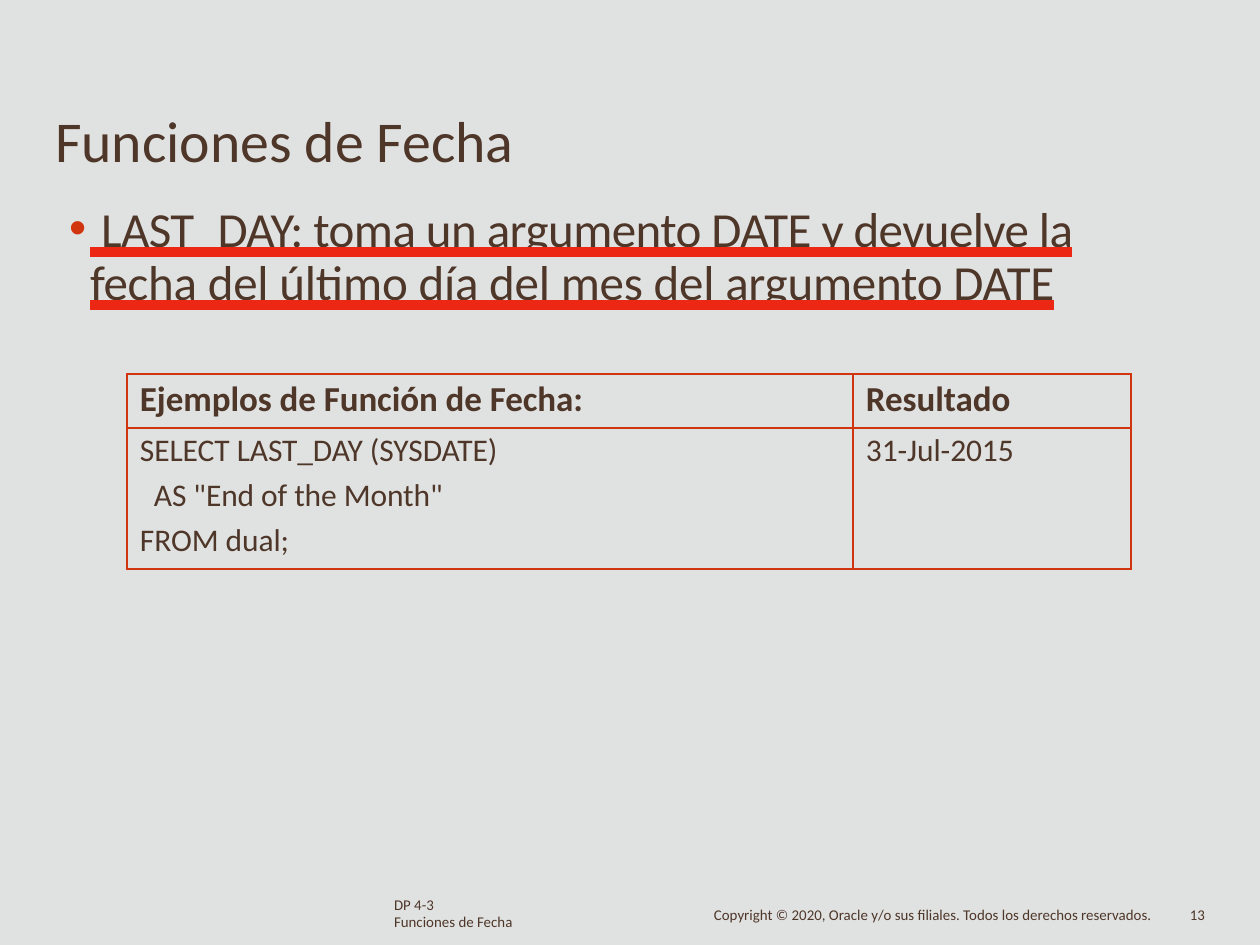
from lxml.etree import SubElement
from pptx import Presentation
from pptx.dml.color import RGBColor
from pptx.enum.text import MSO_ANCHOR, MSO_AUTO_SIZE, MSO_UNDERLINE, PP_ALIGN
from pptx.oxml.ns import qn
from pptx.util import Emu, Pt

BROWN = "4E3629"
RED = "D1350F"
UNDERLINE_RED = "EC2814"
BACKGROUND = "E0E2E1"
FONT = "Calibri"


def px(value):
    """Convert whole pixels to EMU at 126 pixels to the inch."""
    return Emu(round(value * 914400 / 126))


def color(value):
    """Return a colour from a hex string."""
    return RGBColor.from_string(value)


def add_solid_fill(parent, value):
    """Append a solid fill to an XML element."""
    fill = SubElement(parent, qn("a:solidFill"))
    SubElement(fill, qn("a:srgbClr"), val=value)


def format_run(run, size, bold=False, spacing=0):
    """Set font, colour and letter spacing in points of a run."""
    font = run.font
    font.name = FONT
    font.size = Pt(size)
    font.bold = bold
    font.color.rgb = color(BROWN)
    if spacing:
        run._r.get_or_add_rPr().set("spc", str(round(spacing * 100)))


def underline_run(run, value):
    """Give a run a heavy underline in its own colour."""
    run.font.underline = MSO_UNDERLINE.HEAVY_LINE
    properties = run._r.get_or_add_rPr()
    underline = SubElement(properties, qn("a:uFill"))
    add_solid_fill(underline, value)
    properties.find(qn("a:latin")).addprevious(underline)


def place(shape, left, top, width, height, inset=0):
    """Position a text shape and strip its default insets."""
    shape.left, shape.top = px(left), px(top)
    shape.width, shape.height = px(width), px(height)
    text_frame = shape.text_frame
    text_frame.word_wrap = True
    text_frame.auto_size = MSO_AUTO_SIZE.NONE
    text_frame.vertical_anchor = MSO_ANCHOR.TOP
    text_frame.margin_left = text_frame.margin_right = text_frame.margin_bottom = 0
    text_frame.margin_top = px(inset)
    return text_frame


def fill_title(shape, text):
    """Fill the title placeholder."""
    text_frame = place(shape, 55, 103, 549, 73, 2)
    text_frame.text = text
    paragraph = text_frame.paragraphs[0]
    paragraph.alignment = PP_ALIGN.LEFT
    format_run(paragraph.runs[0], 33)


def fill_body(shape, pieces):
    """Fill the body placeholder with one underlined bullet."""
    text_frame = place(shape, 67, 195, 1024, 115, 9)
    paragraph = text_frame.paragraphs[0]
    properties = paragraph._p.get_or_add_pPr()
    properties.set("marL", str(px(23)))
    properties.set("indent", str(px(-21)))
    bullet_color = SubElement(properties, qn("a:buClr"))
    SubElement(bullet_color, qn("a:srgbClr"), val=RED)
    SubElement(properties, qn("a:buChar"), char="•")
    paragraph.line_spacing = Pt(30.3)
    paragraph.space_before = Pt(0)
    for text, spacing in pieces:
        run = paragraph.add_run()
        run.text = text
        format_run(run, 28, spacing=spacing)
        underline_run(run, UNDERLINE_RED)


def add_footer(slide, text, left, top, width, height, line_spacing):
    """Add a small footer text box."""
    text_frame = place(slide.shapes.add_textbox(0, 0, 0, 0), left, top, width, height)
    text_frame.text = text
    for paragraph in text_frame.paragraphs:
        paragraph.line_spacing = Pt(line_spacing)
        format_run(paragraph.runs[0], 8.5)


def format_cell(cell, text, size, bold):
    """Write a table cell with red borders and no fill."""
    properties = cell._tc.get_or_add_tcPr()
    for side in ("a:lnL", "a:lnR", "a:lnT", "a:lnB"):
        add_solid_fill(SubElement(properties, qn(side), w=str(Pt(1))), RED)
    cell.fill.background()
    cell.margin_left, cell.margin_top = px(13), px(4)
    cell.margin_right = cell.margin_bottom = 0
    cell.text_frame.text = text
    for index, paragraph in enumerate(cell.text_frame.paragraphs):
        if index:
            paragraph.line_spacing = 1.17
        format_run(paragraph.runs[0], size, bold, -0.05)


def add_example_table(slide, rows):
    """Add the table of examples and results."""
    widths, heights = (726, 278), (54, 141)
    frame = slide.shapes.add_table(
        len(rows), len(widths), px(127), px(374), px(sum(widths)), px(sum(heights)))
    table = frame.table
    table.first_row = table.horz_banding = False
    for column, width in zip(table.columns, widths):
        column.width = px(width)
    for row_index, texts in enumerate(rows):
        table.rows[row_index].height = px(heights[row_index])
        header = row_index == 0
        for column_index, text in enumerate(texts):
            format_cell(table.cell(row_index, column_index), text, 20 if header else 18, header)
    return table


def main():
    """Build and save the slide."""
    presentation = Presentation()
    presentation.slide_width, presentation.slide_height = px(1260), px(945)
    slide = presentation.slides.add_slide(presentation.slide_layouts[1])
    slide.background.fill.solid()
    slide.background.fill.fore_color.rgb = color(BACKGROUND)

    fill_title(slide.shapes.title, "Funciones de Fecha")
    fill_body(slide.placeholders[1], [
        (" ", -5.2),
        ("LAST_DAY: toma un argumento DATE y devuelve la ", -0.3),
        ("fecha del último día del mes del argumento DATE", -0.12),
    ])
    table = add_example_table(slide, [
        ("Ejemplos de Función de Fecha:", "Resultado"),
        ("SELECT LAST_DAY (SYSDATE)\nAS \"End of the Month\"\nFROM dual;", "31-Jul-2015"),
    ])
    alias_line = table.cell(1, 0).text_frame.paragraphs[1]
    alias_line._p.get_or_add_pPr().set("indent", str(px(14)))

    add_footer(slide, "DP 4-3\nFunciones de Fecha", 394, 897, 122, 34, 9.7)
    add_footer(slide, "Copyright © 2020, Oracle y/o sus filiales. Todos los derechos reservados.",
               714, 908, 444, 19, 9.1)
    add_footer(slide, "13", 1190, 908, 24, 19, 9.1)
    presentation.save("out.pptx")


if __name__ == "__main__":
    main()
